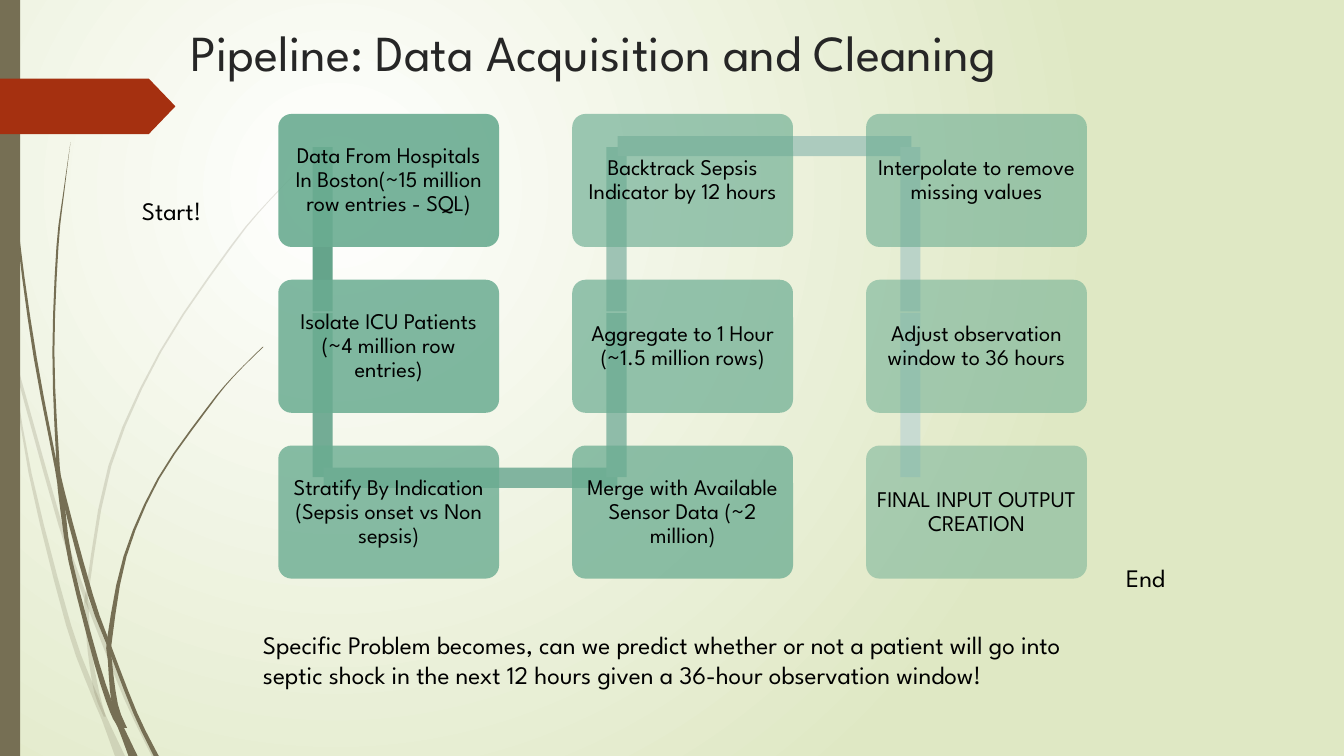
"""Build the data pipeline slide."""
from lxml import etree
from pptx import Presentation, util as u
from pptx.dml.color import RGBColor
from pptx.enum import shapes, text
from pptx.oxml import ns

FONT = "League Spartan"
OLIVE = "766F54"
STEPS = [
    "Data From Hospitals In Boston(~15 million row entries - SQL)",
    "Isolate ICU Patients (~4 million row entries)",
    "Stratify By Indication (Sepsis onset vs Non sepsis)",
    "Merge with Available Sensor Data (~2 million)",
    "Aggregate to 1 Hour (~1.5 million rows)",
    "Backtrack Sepsis Indicator by 12 hours",
    "Interpolate to remove missing values",
    "Adjust observation window to 36 hours",
    "FINAL INPUT OUTPUT CREATION",
]
PALE = [
    [(0, 2.9, .03), (.11, 3.46, .02), (.15, 3.6, .03), (.6, 5.21, .04),
     (.85, 5.93, .04), (.9, 6.05, .04), (1.25, 6.93, .04), (1.53, 7.5, .05)],
    [(.11, 3.5, 0), (.3, 4.7, .03), (.68, 6.2, .05), (.94, 6.9, .06),
     (1.04, 7.14, .06), (1.19, 7.5, .1)],
    [(3.12, 1.53, .01), (2.68, 1.98, .01), (2.29, 2.45, .02),
     (1.59, 3.49, .02), (1.09, 4.62, .03), (.87, 5.84, .03),
     (.86, 6.04, .04), (.89, 6.46, .04), (.96, 6.87, .05), (1.04, 7.11, .02)],
]
DARK = [
    [(.04, 0, .01), (.08, 1.1, .01), (.18, 2.33, .02), (.35, 3.55, .03),
     (.56, 4.65, .03), (.61, 4.95, .05), (.7, 5.57, .04), (.96, 6.58, .05),
     (1.12, 7.06, .06), (1.2, 7.22, .06), (1.32, 7.5, .09)],
    [(.7, 1.41, 0), (.63, 1.93, .01), (.57, 2.45, .02), (.53, 3.49, .02),
     (.57, 4.5, .03), (.62, 4.87, .04), (.9, 5.91, .05), (1.08, 6.4, .04),
     (1.34, 7.07, .04), (1.55, 7.5, .05)],
    [(2.61, 3.44, .01), (2.31, 3.74, .01), (2.05, 4.06, .02),
     (1.57, 4.75, .02), (1.24, 5.52, .03), (1.09, 6.32, .05),
     (1.09, 6.55, .04), (1.14, 6.99, .06), (1.24, 7.22, .04)],
]


def paint(shape, hue, alpha=100):
    """Fill a shape flatly, with no line or shadow."""
    shape.shadow.inherit = False
    shape.line.fill.background()
    shape.fill.solid()
    shape.fill.fore_color.rgb = RGBColor.from_string(hue)
    if alpha < 100:
        node = shape._element.spPr.find(".//" + ns.qn("a:srgbClr"))
        etree.SubElement(node, ns.qn("a:alpha"), val=str(alpha * 1000))
    return shape


def block(slide, kind, box, hue, alpha=100):
    """Add a painted preset shape."""
    spot = [u.Inches(v) for v in box]
    return paint(slide.shapes.add_shape(kind, *spot), hue, alpha)


def write(shape, words, size, hue="000000", align=text.PP_ALIGN.LEFT):
    """Set one paragraph of wrapped text."""
    frame = shape.text_frame
    frame.word_wrap = True
    frame.text = words
    para = frame.paragraphs[0]
    para.alignment = align
    para.font.name = FONT
    para.font.size = u.Pt(size)
    para.font.color.rgb = RGBColor.from_string(hue)
    return frame


def curve(knots, count=3):
    """Sample a smooth path through the knots."""
    ends = [knots[0], *knots, knots[-1]]
    for a, b, c, d in zip(ends, ends[1:], ends[2:], ends[3:]):
        for t in (k / count for k in range(count)):
            yield [(2 * q + (r - p) * t + (2 * p - 5 * q + 4 * r - s) * t ** 2
                    + (3 * q - p - 3 * r + s) * t ** 3) / 2
                   for p, q, r, s in zip(a, b, c, d)]
    yield knots[-1]


def stem(slide, knots, alpha):
    """Draw one tapering blade of grass."""
    line = list(curve(knots))
    edge = [(x - w / 2, y) for x, y, w in line]
    edge += [(x + w / 2, y) for x, y, w in reversed(line)]
    edge = [(u.Inches(max(x, 0)), u.Inches(y)) for x, y in edge]
    form = slide.shapes.build_freeform(*edge[0])
    form.add_line_segments(edge[1:])
    paint(form.convert_to_shape(), OLIVE, alpha)


def decor(slide):
    """Set the background, grass, side bar and tag."""
    fill = slide.background.fill
    fill.gradient()
    for stop, hue in zip(fill.gradient_stops, ("FFFFFF", "DFE8C4")):
        stop.color.rgb = RGBColor.from_string(hue)
    lin = slide._element.find(".//" + ns.qn("a:lin"))
    ring = etree.Element(ns.qn("a:path"), path="circle")
    etree.SubElement(ring, ns.qn("a:fillToRect"), l="50000", t="50000",
                     r="100000", b="100000")
    lin.getparent().replace(lin, ring)
    for knots in PALE:
        stem(slide, knots, 20)
    for knots in DARK:
        stem(slide, knots, 100)
    block(slide, shapes.MSO_SHAPE.RECTANGLE, (0, 0, .2, 7.5), OLIVE)
    tag = block(slide, shapes.MSO_SHAPE.PENTAGON, (0, .78, 1.74, .55), "A53010")
    tag.adjustments[0] = .48


def title(slide, box, words):
    """Place the title."""
    head = slide.shapes.title
    head.left, head.top, head.width, head.height = map(u.Inches, box)
    frame = write(head, words, 36, "262626")
    frame.vertical_anchor = text.MSO_ANCHOR.TOP
    frame.auto_size = text.MSO_AUTO_SIZE.NONE


def blend(part):
    """Mix the colour of a linking bar."""
    pairs = zip((0x65, 0xA4, 0x8B), (0xC8, 0xDB, 0xD2))
    return "".join(f"{round(a + (b - a) * part):02X}" for a, b in pairs)


def cell(index):
    """Find the column and row on the snaking route."""
    col, row = divmod(index, 3)
    return col, 2 - row if col % 2 else row


def flow(slide, box, steps):
    """Lay out the snake of steps and bars in a box."""
    left, top, width, height = box
    wide, high = 2.19, 1.32
    across, down = (width - wide) / 2, (height - high) / 2
    for i, words in enumerate(steps):
        col, row = cell(i)
        x, y = left + col * across, top + row * down
        if i + 1 < len(steps):
            goal, next_row = cell(i + 1)
            if goal > col:
                bar = (x + .45, y + .22, across, .2)
            else:
                bar = (x + .34, top + min(row, next_row) * down + .33, .2, 1.63)
            block(slide, shapes.MSO_SHAPE.RECTANGLE, bar,
                  blend(i / (len(steps) - 2)))
        card = block(slide, shapes.MSO_SHAPE.ROUNDED_RECTANGLE,
                     (x, y, wide, high), "6AAC91", 90 - 5 * i)
        card.adjustments[0] = .1
        frame = write(card, words, 16, align=text.PP_ALIGN.CENTER)
        frame.paragraphs[0].line_spacing = .9
        frame.vertical_anchor = text.MSO_ANCHOR.MIDDLE
        frame.margin_left = frame.margin_right = u.Inches(.06)
        frame.margin_top = frame.margin_bottom = u.Inches(.06)


def note(slide, box, words):
    """Add a plain text note."""
    write(slide.shapes.add_textbox(*map(u.Inches, box)), words, 18)


def main():
    """Build and save the slide."""
    deck = Presentation()
    deck.slide_width, deck.slide_height = u.Inches(13.33), u.Inches(7.5)
    slide = deck.slides.add_slide(deck.slide_layouts[5])
    decor(slide)
    title(slide, (1.79, .16, 11.36, .96),
          "Pipeline: Data Acquisition and Cleaning")
    flow(slide, (2.76, 1.13, 8.02, 4.61), STEPS)
    note(slide, (2.51, 6.19, 8.32, 1.01),
         "Specific Problem becomes, can we predict whether or not a patient "
         "will go into septic shock in the next 12 hours given a 36-hour "
         "observation window!")
    note(slide, (1.31, 1.89, 1.3, .4), "Start!")
    note(slide, (11.07, 5.53, 1.35, .4), "End")
    deck.save("out.pptx")


if __name__ == "__main__":
    main()
